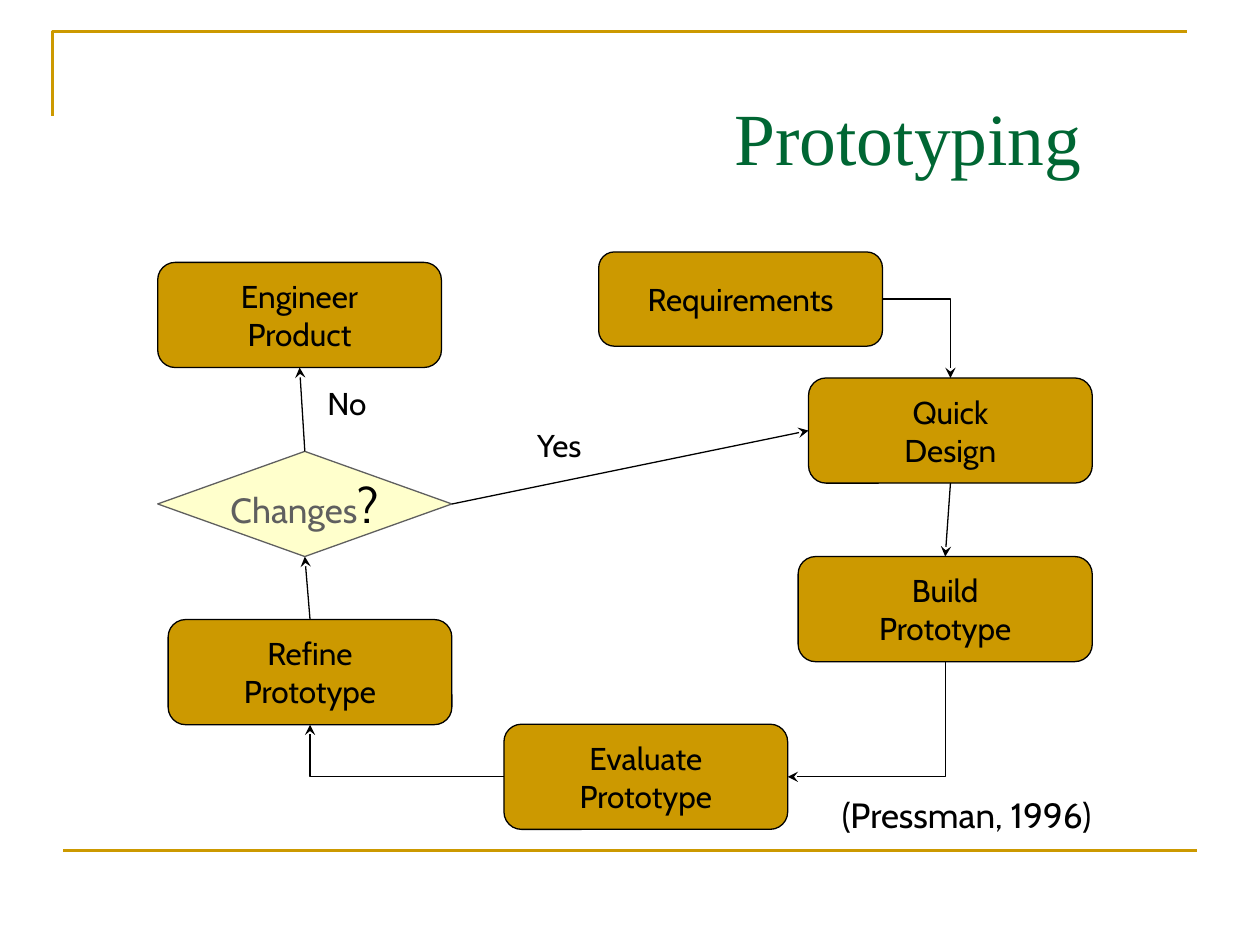
import dataclasses

import lxml.etree
import pptx
import pptx.dml.color
import pptx.enum.shapes
import pptx.enum.text
import pptx.oxml.ns
import pptx.util

Cm = pptx.util.Cm
SHAPES = pptx.enum.shapes.MSO_SHAPE
CONNECTORS = pptx.enum.shapes.MSO_CONNECTOR
ANCHOR = pptx.enum.text.MSO_ANCHOR
AUTO_SIZE = pptx.enum.text.MSO_AUTO_SIZE
ALIGN = pptx.enum.text.PP_ALIGN
qn = pptx.oxml.ns.qn

TOP, LEFT, BOTTOM, RIGHT = range(4)  # connection sites
QUARTER_TURNS = {RIGHT: 0, BOTTOM: 1, LEFT: 2, TOP: 3}


@dataclasses.dataclass(frozen=True)
class Theme:
    gold: str = "CC9900"
    cream: str = "FFFFCC"
    green: str = "006633"
    grey: str = "5F5F5F"
    black: str = "000000"
    title_font: str = "Times New Roman"
    text_font: str = "Cabin"
    title_size: int = 42
    mark_size: int = 28
    large_size: int = 20
    step_size: int = 18
    frame_width: float = 1.5
    line_width: float = 0.75


def rgb(code):
    return pptx.dml.color.RGBColor.from_string(code)


def apply(target, formats):
    for name, value in formats.items():
        setattr(target, name, value)


class FlowSlide:
    """Holds the theme and the slide being drawn."""

    def __init__(self, slide, theme):
        self.slide = slide
        self.theme = theme

    def outline(self, line, color, width):
        line.color.rgb = rgb(color)
        line.width = pptx.util.Pt(width)

    def fill_text(self, frame, paragraphs, align, **formats):
        """Each paragraph is a list of (text, size, colour, font) runs."""
        apply(frame, formats)
        for number, runs in enumerate(paragraphs):
            paragraph = frame.add_paragraph() if number else frame.paragraphs[0]
            paragraph.alignment = align
            for text, size, color, font in runs:
                run = paragraph.add_run()
                run.text = text
                apply(run.font, {"size": pptx.util.Pt(size), "name": font})
                run.font.color.rgb = rgb(color)

    def title(self, text, *box):
        theme = self.theme
        title = self.slide.shapes.title
        apply(title, dict(zip(("left", "top", "width", "height"), map(Cm, box))))
        runs = [(text, theme.title_size, theme.green, theme.title_font)]
        self.fill_text(title.text_frame, [runs], ALIGN.CENTER, word_wrap=True,
                       vertical_anchor=ANCHOR.MIDDLE, auto_size=AUTO_SIZE.NONE)

    def corner(self, left, top, right, bottom):
        builder = self.slide.shapes.build_freeform(Cm(left), Cm(bottom))
        builder.add_line_segments(
            [(Cm(left), Cm(top)), (Cm(right), Cm(top))], close=False)
        corner = builder.convert_to_shape()
        corner.fill.background()
        corner.shadow.inherit = False
        self.outline(corner.line, self.theme.gold, self.theme.frame_width)

    def connector(self, kind, ends, color, width):
        line = self.slide.shapes.add_connector(kind, *map(Cm, ends))
        self.outline(line.line, color, width)
        lxml.etree.SubElement(line._element.spPr, qn("a:effectLst"))
        return line

    def rule(self, *ends):
        self.connector(CONNECTORS.STRAIGHT, ends, self.theme.gold,
                       self.theme.frame_width)

    def node(self, kind, box, paragraphs, fill, line):
        node = self.slide.shapes.add_shape(kind, *map(Cm, box))
        node.shadow.inherit = False
        node.fill.solid()
        node.fill.fore_color.rgb = rgb(fill)
        self.outline(node.line, line, self.theme.line_width)
        self.fill_text(node.text_frame, paragraphs, ALIGN.CENTER,
                       word_wrap=False, vertical_anchor=ANCHOR.MIDDLE)
        return node

    def step(self, lines, *box):
        theme = self.theme
        paragraphs = [[(line, theme.step_size, theme.black, theme.text_font)]
                      for line in lines]
        return self.node(SHAPES.ROUNDED_RECTANGLE, box, paragraphs,
                         theme.gold, theme.black)

    def decision(self, text, mark, *box):
        theme = self.theme
        runs = [(text, theme.large_size, theme.grey, theme.text_font),
                (mark, theme.mark_size, theme.black, theme.text_font)]
        return self.node(SHAPES.FLOWCHART_DECISION, box, [runs],
                         theme.cream, theme.grey)

    def label(self, text, size, *box):
        theme = self.theme
        label = self.slide.shapes.add_textbox(*map(Cm, box))
        runs = [(text, size, theme.black, theme.text_font)]
        self.fill_text(label.text_frame, [runs], ALIGN.LEFT, word_wrap=False,
                       auto_size=AUTO_SIZE.SHAPE_TO_FIT_TEXT)

    def arrow(self, start, start_site, end, end_site, bent=False):
        kind = CONNECTORS.ELBOW if bent else CONNECTORS.STRAIGHT
        arrow = self.connector(kind, (0, 0, 0, 0), self.theme.black,
                               self.theme.line_width)
        arrow.begin_connect(start, start_site)
        arrow.end_connect(end, end_site)
        line = arrow._element.spPr.find(qn("a:ln"))
        lxml.etree.SubElement(line, qn("a:tailEnd"), type="stealth")
        if bent:
            self.bend(arrow, QUARTER_TURNS[start_site])

    def bend(self, arrow, turns):
        """Make a one-corner clockwise elbow, rotated by quarter turns."""
        width, height = arrow.width, arrow.height
        center_x = arrow.left + width // 2
        center_y = arrow.top + height // 2
        if turns % 2:
            width, height = height, width
        apply(arrow, {"left": center_x - width // 2, "top": center_y - height // 2,
                      "width": width, "height": height})
        properties = arrow._element.spPr
        properties.find(qn("a:prstGeom")).set("prst", "bentConnector2")
        transform = properties.find(qn("a:xfrm"))
        for flip in ("flipH", "flipV"):
            transform.attrib.pop(flip, None)
        transform.set("rot", str(turns * 90 * 60000))


def main():
    deck = pptx.Presentation()
    apply(deck, {"slide_width": Cm(25.4), "slide_height": Cm(19.05)})
    theme = Theme()
    flow = FlowSlide(deck.slides.add_slide(deck.slide_layouts[5]), theme)

    flow.corner(1.06, 0.64, 23.92, 2.33)
    flow.rule(1.27, 17.15, 24.13, 17.15)
    flow.title("Prototyping", 13.12, 1.69, 10.37, 2.12)

    requirements = flow.step(["Requirements"], 12.07, 5.08, 5.72, 1.9)
    product = flow.step(["Engineer", "Product"], 3.18, 5.29, 5.72, 2.12)
    design = flow.step(["Quick", "Design"], 16.3, 7.62, 5.72, 2.12)
    build = flow.step(["Build", "Prototype"], 16.09, 11.22, 5.93, 2.12)
    evaluate = flow.step(["Evaluate", "Prototype"], 10.16, 14.6, 5.72, 2.12)
    refine = flow.step(["Refine", "Prototype"], 3.39, 12.49, 5.72, 2.12)
    changes = flow.decision("Changes", "?", 3.18, 9.1, 5.93, 2.12)

    flow.arrow(requirements, RIGHT, design, TOP, bent=True)
    flow.arrow(design, BOTTOM, build, TOP)
    flow.arrow(build, BOTTOM, evaluate, RIGHT, bent=True)
    flow.arrow(evaluate, LEFT, refine, BOTTOM, bent=True)
    flow.arrow(refine, TOP, changes, BOTTOM)
    flow.arrow(changes, TOP, product, BOTTOM)
    flow.arrow(changes, RIGHT, design, LEFT)

    flow.label("Yes", theme.step_size, 10.58, 8.47, 1.83, 1.27)
    flow.label("No", theme.step_size, 6.35, 7.62, 1.52, 1.27)
    flow.label("(Pressman, 1996)", theme.large_size, 16.72, 15.88, 6.02, 1.09)

    deck.save("out.pptx")


if __name__ == "__main__":
    main()
